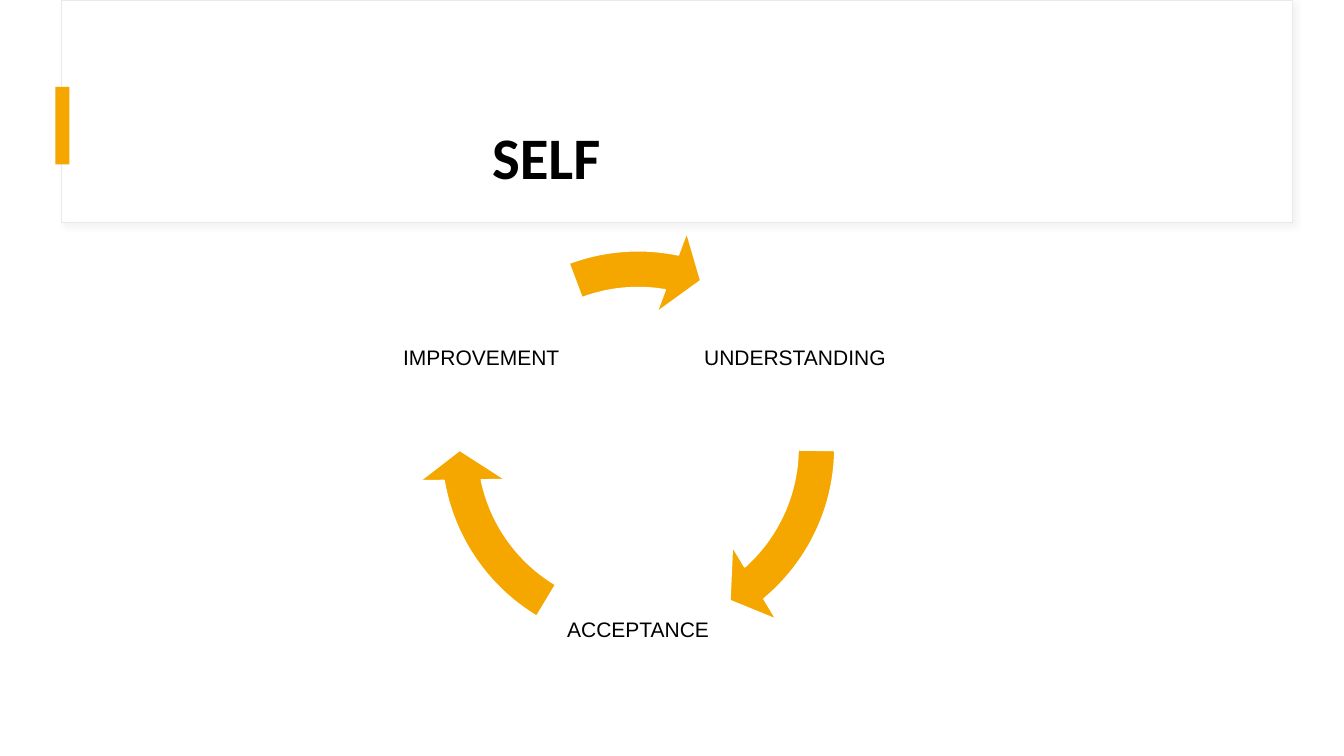
from math import cos, radians, sin

from lxml.etree import SubElement
from pptx import Presentation
from pptx.dml.color import RGBColor
from pptx.enum.shapes import MSO_SHAPE
from pptx.enum.text import MSO_ANCHOR, PP_ALIGN
from pptx.oxml.ns import qn
from pptx.util import Pt

AMBER = RGBColor(0xF5, 0xA7, 0x00)
WHITE = RGBColor(0xFF, 0xFF, 0xFF)
BLACK = RGBColor(0x00, 0x00, 0x00)
EDGE = RGBColor(0xE9, 0xE9, 0xE9)
SHADE = RGBColor(0xD9, 0xD9, 0xD9)

STEPS = [
    ("UNDERSTANDING", -30, 0.53, 29.62),
    ("ACCEPTANCE", 90, 72.62, 101.7),
    ("IMPROVEMENT", 210, 149.69, 168.55),
]


def add_form(slide, kind, box, fill, line=None, width=0):
    form = slide.shapes.add_shape(kind, *map(Pt, box))
    form.shadow.inherit = False
    form.fill.solid()
    form.fill.fore_color.rgb = fill
    if line is None:
        form.line.fill.background()
    else:
        form.line.color.rgb = line
        form.line.width = Pt(width)
    return form


def add_text(slide, box, text, face, size, bold=False, inset=None):
    frame = slide.shapes.add_textbox(*map(Pt, box)).text_frame
    frame.word_wrap = True
    frame.vertical_anchor = MSO_ANCHOR.MIDDLE
    if inset is not None:
        frame.margin_left = frame.margin_right = Pt(inset)
        frame.margin_top = frame.margin_bottom = Pt(inset)
    frame.text = text
    line = frame.paragraphs[0]
    line.alignment = PP_ALIGN.CENTER
    font = line.runs[0].font
    font.name = face
    font.size = Pt(size)
    font.bold = bold
    font.color.rgb = BLACK


def add_shade(form):
    effects = form._element.spPr.find(qn("a:effectLst"))
    shade = SubElement(effects, qn("a:outerShdw"), blurRad=str(Pt(4)),
                       dist=str(Pt(3)), dir="2700000", algn="tl", rotWithShape="0")
    color = SubElement(shade, qn("a:srgbClr"), val=str(SHADE))
    SubElement(color, qn("a:alpha"), val="30000")


def add_header(slide, box):
    left, top, width, height = box
    add_shade(add_form(slide, MSO_SHAPE.RECTANGLE, box, WHITE, EDGE, 0.75))
    add_form(slide, MSO_SHAPE.RECTANGLE, (left - 4.3, top + 62, 10, 55.4), AMBER)


def add_title(slide, box):
    add_text(slide, box, "SELF", "Calibri", 42, bold=True)


def add_cycle(slide, box):
    left, top, width, height = box
    mid_x, mid_y = left + width / 2, top + height / 2
    reach, side = width * 0.41, 133.2
    for text, angle, start, end in STEPS:
        x = mid_x + reach * cos(radians(angle)) - side / 2
        y = mid_y + reach * sin(radians(angle)) - side / 2
        add_text(slide, (x, y, side, side), text, "Arial", 15, inset=1.5)
        arrow = add_form(slide, MSO_SHAPE.CIRCULAR_ARROW, box, AMBER, WHITE, 1)
        for spot, value in enumerate((0.083, 5.77, end, start, 0.096)):
            arrow.adjustments[spot] = value


def main():
    deck = Presentation()
    deck.slide_width, deck.slide_height = Pt(960), Pt(540)
    slide = deck.slides.add_slide(deck.slide_layouts[6])
    add_header(slide, (43.9, 0, 879.1, 159.1))
    add_cycle(slide, (298.1, 162, 315.4, 315.4))
    add_title(slide, (120.2, 72, 540, 79.2))
    deck.save("out.pptx")


if __name__ == "__main__":
    main()
